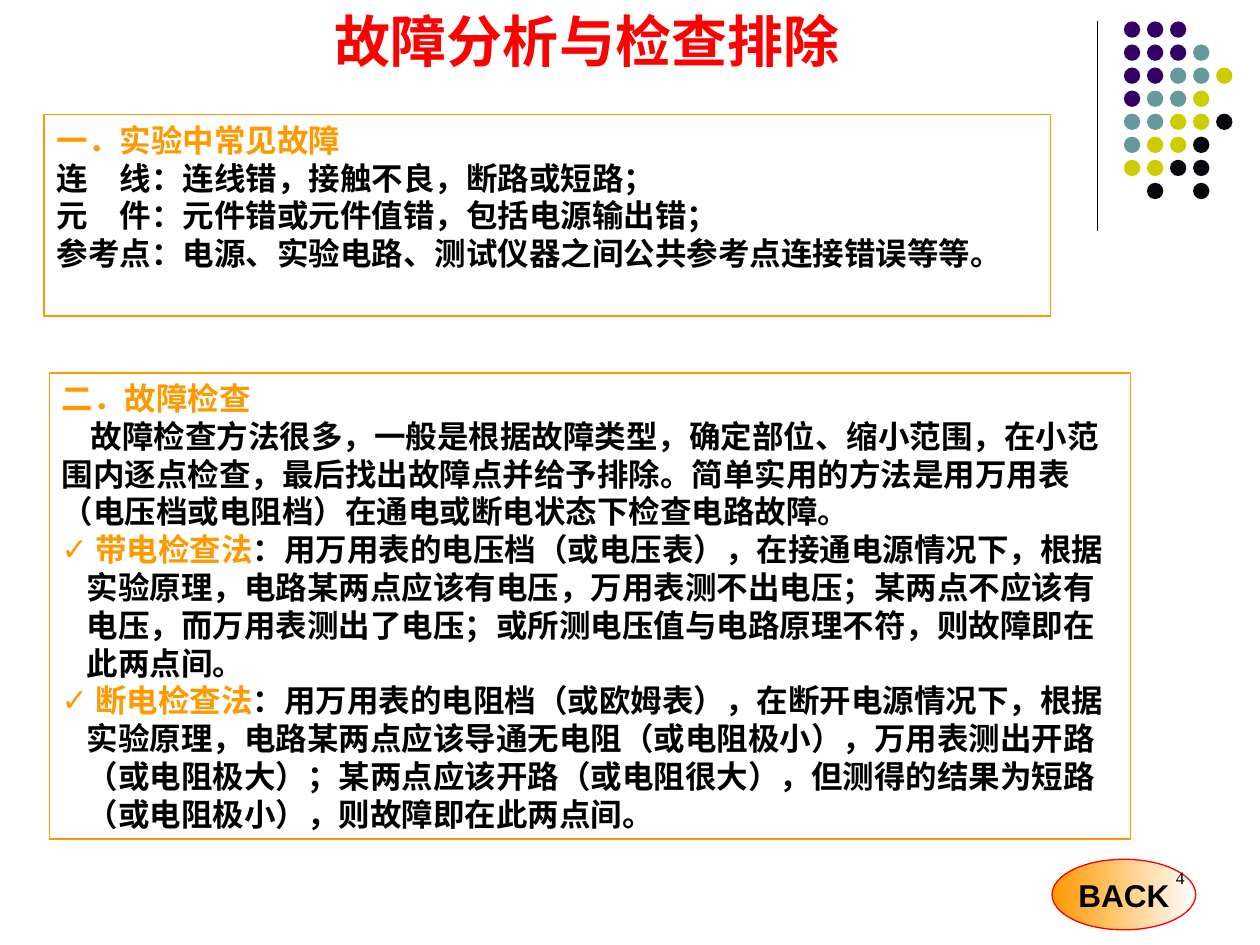
from dataclasses import dataclass

from pptx import Presentation
from pptx.dml.color import RGBColor
from pptx.enum.shapes import MSO_CONNECTOR, MSO_SHAPE
from pptx.enum.text import MSO_ANCHOR, MSO_AUTO_SIZE, PP_ALIGN
from pptx.oxml.ns import qn
from pptx.util import Inches, Pt
from lxml import etree

ELLIPSE, RECTANGLE = MSO_SHAPE.OVAL, MSO_SHAPE.RECTANGLE
STRAIGHT = MSO_CONNECTOR.STRAIGHT
TOP, MIDDLE = MSO_ANCHOR.TOP, MSO_ANCHOR.MIDDLE
FIXED, GROW = MSO_AUTO_SIZE.NONE, MSO_AUTO_SIZE.SHAPE_TO_FIT_TEXT
LEFT, CENTER, RIGHT = PP_ALIGN.LEFT, PP_ALIGN.CENTER, PP_ALIGN.RIGHT
BLANK_LAYOUT = 6


@dataclass(frozen=True)
class Theme:
    red: str = "FF0000"
    orange: str = "FF9900"
    black: str = "000000"
    white: str = "FFFFFF"
    purple: str = "330066"
    teal: str = "669999"
    lime: str = "CCCC00"
    ink: str = "07070D"
    font: str = "Arial"
    number_font: str = "Times New Roman"
    title_size: int = 32
    body_size: int = 18
    number_size: int = 10
    line_width: float = 0.75


THEME = Theme()
DOT_COLORS = {"P": THEME.purple, "T": THEME.teal, "Y": THEME.lime, "K": THEME.ink}
DOT_ROWS = ["PPP", "PPPT", "PPTTY", "PTTY", "TTYYK", "TYYK", "YYKK", " K K"]
DOT_LEFT, DOT_TOP, DOT_SIZE, DOT_PITCH = 8.92, 0.17, 0.13, 0.183
BULLET_INDENT, FIRST_LINE_INDENT = 0.2, 0.23

FAULTS = [
    {"runs": [("一．实验中常见故障", THEME.orange)]},
    {"runs": [("连　线：连线错，接触不良，断路或短路；", THEME.black)]},
    {"runs": [("元　件：元件错或元件值错，包括电源输出错；", THEME.black)]},
    {"runs": [("参考点：电源、实验电路、测试仪器之间公共参考点连接错误等等。", THEME.black)]},
]
CHECKS = [
    {"runs": [("二．故障检查", THEME.orange)]},
    {"indent": FIRST_LINE_INDENT, "runs": [(
        "故障检查方法很多，一般是根据故障类型，确定部位、缩小范围，在小范围内逐点检查，"
        "最后找出故障点并给予排除。简单实用的方法是用万用表（电压档或电阻档）"
        "在通电或断电状态下检查电路故障。", THEME.black)]},
    {"bullet": "✓", "runs": [(" 带电检查法", THEME.orange), (
        "：用万用表的电压档（或电压表），在接通电源情况下，根据实验原理，"
        "电路某两点应该有电压，万用表测不出电压；某两点不应该有电压，而万用表测出了电压；"
        "或所测电压值与电路原理不符，则故障即在此两点间。", THEME.black)]},
    {"bullet": "✓", "runs": [(" 断电检查法", THEME.orange), (
        "：用万用表的电阻档（或欧姆表），在断开电源情况下，根据实验原理，"
        "电路某两点应该导通无电阻（或电阻极小），万用表测出开路（或电阻极大）；"
        "某两点应该开路（或电阻很大），但测得的结果为短路（或电阻极小），"
        "则故障即在此两点间。", THEME.black)]},
]


def rgb(color):
    return RGBColor.from_string(color)


def apply(target, values):
    for name, value in values.items():
        setattr(target, name, value)


def set_indent(paragraph, margin, first_line):
    properties = paragraph._p.get_or_add_pPr()
    properties.set("marL", str(Inches(margin)))
    properties.set("indent", str(Inches(first_line)))
    return properties


def set_bullet(paragraph, character):
    paragraph.level = 1
    properties = set_indent(paragraph, BULLET_INDENT, -BULLET_INDENT)
    color = etree.SubElement(properties, qn("a:buClr"))
    etree.SubElement(color, qn("a:srgbClr"), val=THEME.orange)
    etree.SubElement(properties, qn("a:buFont"), typeface=THEME.font)
    etree.SubElement(properties, qn("a:buChar"), char=character)


def write_text(shape, paragraphs, size=THEME.body_size, font=THEME.font,
               bold=True, alignment=LEFT, anchor=TOP, wrap=True, fit=FIXED):
    frame = shape.text_frame
    apply(frame, {"word_wrap": wrap, "vertical_anchor": anchor, "auto_size": fit})
    for index, content in enumerate(paragraphs):
        paragraph = frame.add_paragraph() if index else frame.paragraphs[0]
        paragraph.alignment = alignment
        if "bullet" in content:
            set_bullet(paragraph, content["bullet"])
        elif "indent" in content:
            set_indent(paragraph, 0, content["indent"])
        for text, color in content["runs"]:
            run = paragraph.add_run()
            run.text = text
            apply(run.font, {"name": font, "size": Pt(size), "bold": bold})
            run.font.color.rgb = rgb(color)


def add_outlined_shape(slide, kind, box, color):
    shape = slide.shapes.add_shape(kind, *map(Inches, box))
    shape.shadow.inherit = False
    shape.fill.background()
    shape.line.color.rgb = rgb(color)
    shape.line.width = Pt(THEME.line_width)
    return shape


def add_panel(slide, box, paragraphs):
    write_text(add_outlined_shape(slide, RECTANGLE, box, THEME.orange), paragraphs)


def add_label(slide, box, text, color, **style):
    label = slide.shapes.add_textbox(*map(Inches, box))
    write_text(label, [{"runs": [(text, color)]}], **style)


def add_back_button(slide, box):
    button = add_outlined_shape(slide, ELLIPSE, box, THEME.red)
    button.fill.gradient()
    button.fill.gradient_angle = 180
    stops = zip(button.fill.gradient_stops, (0, 1), (THEME.white, THEME.orange))
    for stop, position, color in stops:
        stop.position = position
        stop.color.rgb = rgb(color)
    write_text(button, [{"runs": [("BACK", THEME.black)]}],
               alignment=CENTER, anchor=MIDDLE, wrap=False)


def add_divider(slide, x, top, bottom):
    divider = slide.shapes.add_connector(STRAIGHT, *map(Inches, (x, top, x, bottom)))
    divider.line.color.rgb = rgb(THEME.black)
    divider.line.width = Pt(THEME.line_width)
    etree.SubElement(divider._element.spPr, qn("a:effectLst"))


def add_dots(slide):
    group = slide.shapes.add_group_shape()
    for row, keys in enumerate(DOT_ROWS):
        for column, key in enumerate(keys):
            if key not in DOT_COLORS:
                continue
            box = (DOT_LEFT + column * DOT_PITCH, DOT_TOP + row * DOT_PITCH,
                   DOT_SIZE, DOT_SIZE)
            dot = group.shapes.add_shape(ELLIPSE, *map(Inches, box))
            dot.shadow.inherit = False
            dot.fill.solid()
            dot.fill.fore_color.rgb = rgb(DOT_COLORS[key])
            dot.line.fill.background()


def main():
    presentation = Presentation()
    apply(presentation, {"slide_width": Inches(10), "slide_height": Inches(7.5)})
    slide = presentation.slides.add_slide(presentation.slide_layouts[BLANK_LAYOUT])
    add_divider(slide, 8.71, 0.17, 1.83)
    add_dots(slide)
    add_label(slide, (2.56, 0, 4.25, 0.64), "故障分析与检查排除", THEME.red,
              size=THEME.title_size, wrap=False, fit=GROW)
    add_panel(slide, (0.39, 2.96, 8.58, 3.7), CHECKS)
    add_panel(slide, (0.35, 0.91, 7.99, 1.6), FAULTS)
    add_back_button(slide, (8.35, 6.82, 1.14, 0.56))
    add_label(slide, (7.17, 6.83, 2.33, 0.5), "4", THEME.black,
              size=THEME.number_size, font=THEME.number_font,
              bold=False, alignment=RIGHT)
    presentation.save("out.pptx")


if __name__ == "__main__":
    main()
